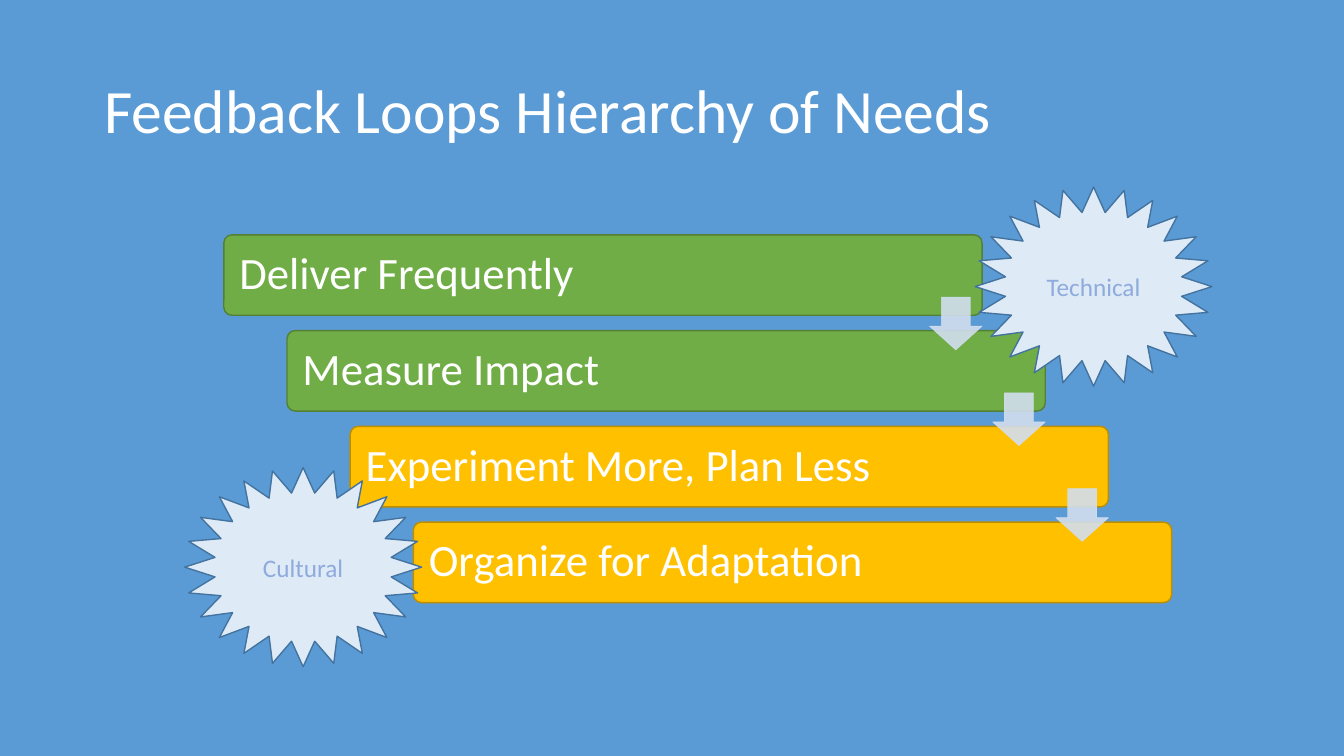
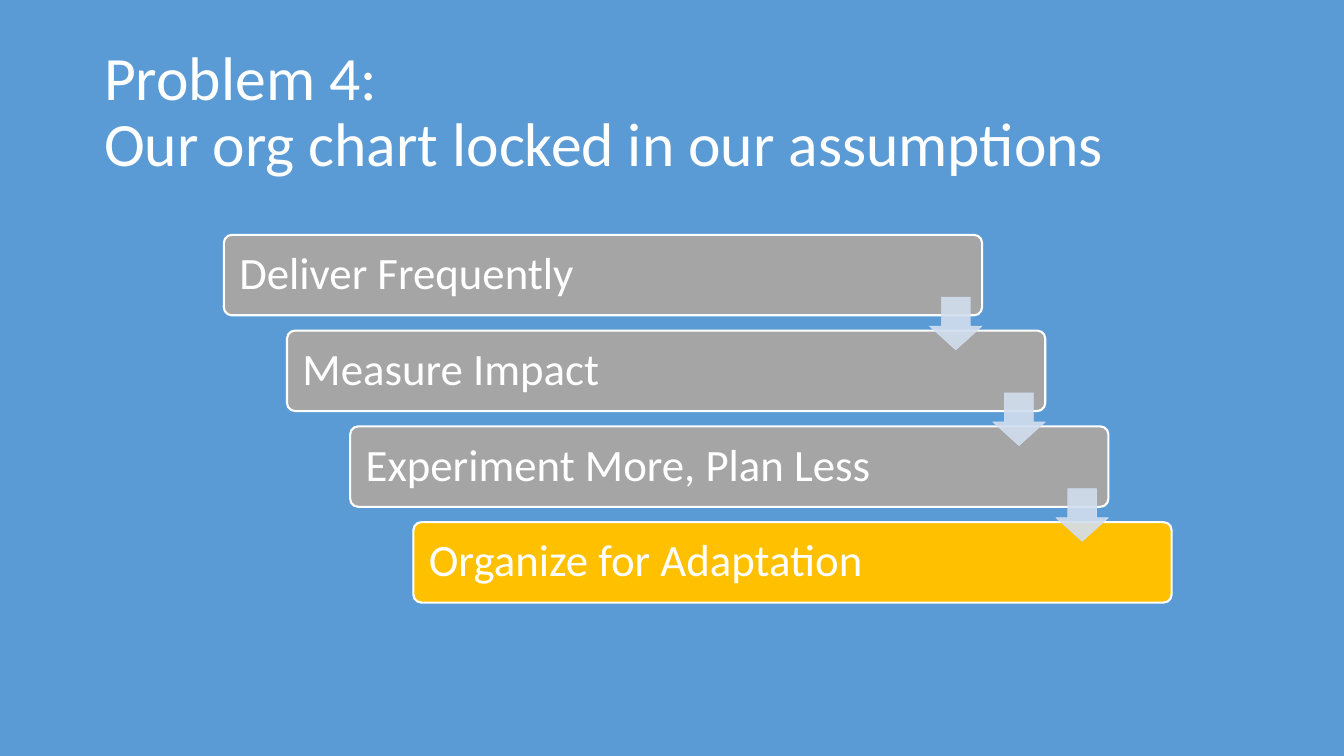
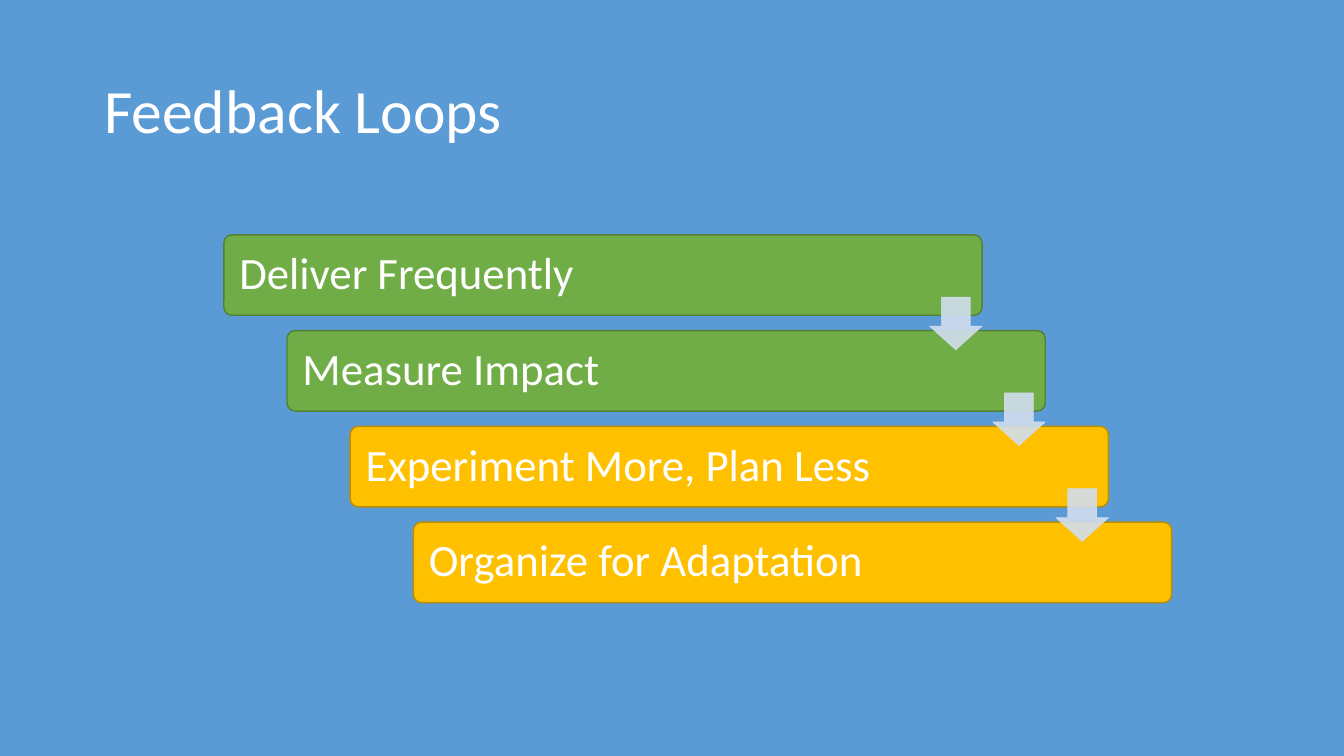
from lxml import etree
from pptx import Presentation, util as u
from pptx.dml import color
from pptx.enum import shapes, text
from pptx.oxml import ns

WIDTH, HEIGHT = 13.33, 7.5
LEFT, TOP = 2.22, 2.33
COLUMN, ROW = 1.88 / 3, 0.95
FONT = "Calibri"
BLUE, WHITE, PALE, ARROW = "5B9BD5", "FFFFFF", "DEEBF7", "D2DEEF"
GREEN = ("70AD47", "538035", 1)
GOLD = ("FFC000", "BD8E00", 1)
GREY = ("A5A5A5", WHITE, 1.5)
GOLD_OUTLINED = ("FFC000", WHITE, 1.5)
NEEDS = ["Deliver Frequently", "Measure Impact",
         "Experiment More, Plan Less", "Organize for Adaptation"]


def rgb(value):
    return color.RGBColor.from_string(value)


def set_all(target, values):
    for name, value in values.items():
        setattr(target, name, value)


class Deck:
    def __init__(self):
        self.prs = Presentation()
        set_all(self.prs, {"slide_width": u.Inches(WIDTH), "slide_height": u.Inches(HEIGHT)})
        fill = self.prs.slide_master.background.fill
        fill.solid()
        fill.fore_color.rgb = rgb(BLUE)

    def slide(self, *title_lines):
        self.s = self.prs.slides.add_slide(self.prs.slide_layouts[5])
        sp = self.s.shapes.title
        set_all(sp, {"left": u.Inches(0.07 * WIDTH), "top": u.Inches(0.05 * HEIGHT),
                     "width": u.Inches(0.86 * WIDTH), "height": u.Inches(0.2 * HEIGHT)})
        self.label(sp, title_lines, 44, WHITE, text.PP_ALIGN.LEFT, 0.9)

    def label(self, sp, lines, size, ink, align, spacing=1.0, inset=None):
        tf = sp.text_frame
        set_all(tf, {"word_wrap": True, "auto_size": text.MSO_AUTO_SIZE.NONE,
                     "vertical_anchor": text.MSO_ANCHOR.MIDDLE})
        if inset is not None:
            set_all(tf, dict.fromkeys(("margin_left", "margin_right", "margin_top",
                                       "margin_bottom"), u.Inches(inset)))
        p = tf.paragraphs[0]
        set_all(p, {"alignment": align, "line_spacing": spacing})
        for i, line in enumerate(lines):
            if i:
                p.add_line_break()
            r = p.add_run()
            r.text = line
            set_all(r.font, {"name": FONT, "size": u.Pt(size)})
            r.font.color.rgb = rgb(ink)

    def shape(self, kind, column, row, columns, rows, style):
        fill, line, weight = style
        sp = self.s.shapes.add_shape(
            kind, u.Inches(LEFT + column * COLUMN), u.Inches(TOP + row * ROW),
            u.Inches(columns * COLUMN), u.Inches(rows * ROW))
        sp.shadow.inherit = False
        sp.fill.solid()
        sp.fill.fore_color.rgb = rgb(fill)
        sp.line.color.rgb = rgb(line)
        sp.line.width = u.Pt(weight)
        return sp

    def bar(self, step, need, style):
        sp = self.shape(shapes.MSO_SHAPE.ROUNDED_RECTANGLE, step, step, 12, 0.84, style)
        sp.adjustments[0] = 0.1
        self.label(sp, [need], 32, WHITE, text.PP_ALIGN.LEFT, 0.9, 0.13)

    def arrow(self, step):
        size = 0.83
        sp = self.shape(shapes.MSO_SHAPE.DOWN_ARROW, step + 12 - size, step + 0.65,
                        size, 0.55, (ARROW, ARROW, 0.5))
        sp.adjustments[0], sp.adjustments[1] = 0.55, 0.45
        for clr in sp._element.spPr.iter(ns.qn("a:srgbClr")):
            etree.SubElement(clr, ns.qn("a:alpha"), val="90000")

    def staircase(self, styles):
        for step, (need, style) in enumerate(zip(NEEDS, styles)):
            self.bar(step, need, style)
        for step in range(len(NEEDS) - 1):
            self.arrow(step)

    def star(self, area, column, row):
        sp = self.shape(shapes.MSO_SHAPE.STAR_24_POINT, column, row, 3.75, 2.08,
                        (PALE, "43739E", 1))
        self.label(sp, [area], 18, "8FAADC", text.PP_ALIGN.CENTER)


def main():
    deck = Deck()
    by_area = [GREEN, GREEN, GOLD, GOLD]

    deck.slide("Feedback Loops Hierarchy of Needs")
    deck.staircase(by_area)
    deck.star("Technical", 11.89, -0.5)
    deck.star("Cultural", -0.62, 2.43)

    deck.slide("Problem 4:", "Our org chart locked in our assumptions")
    deck.staircase([GREY, GREY, GREY, GOLD_OUTLINED])

    deck.slide("Feedback Loops")
    deck.staircase(by_area)

    deck.prs.save("out.pptx")


if __name__ == "__main__":
    main()
